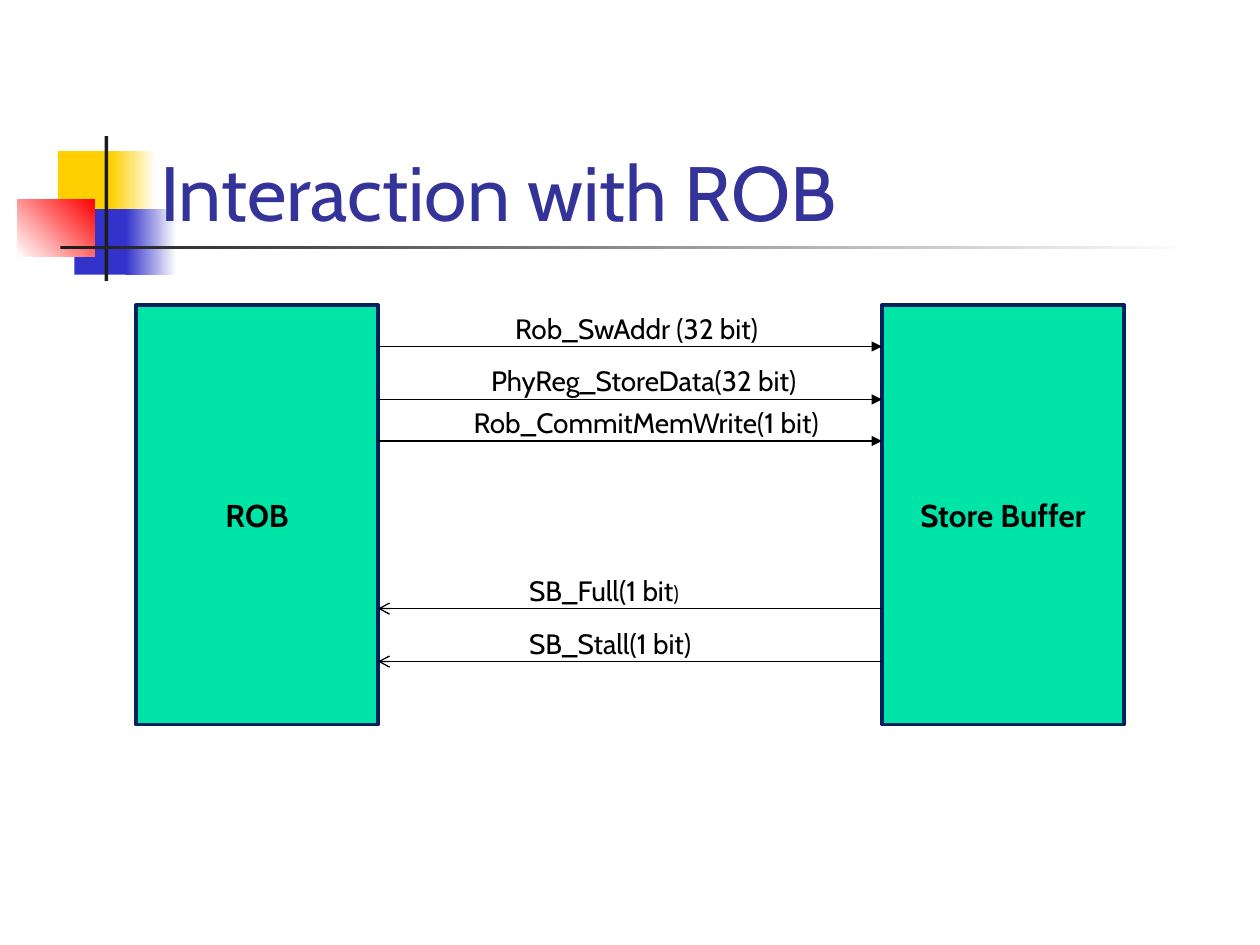
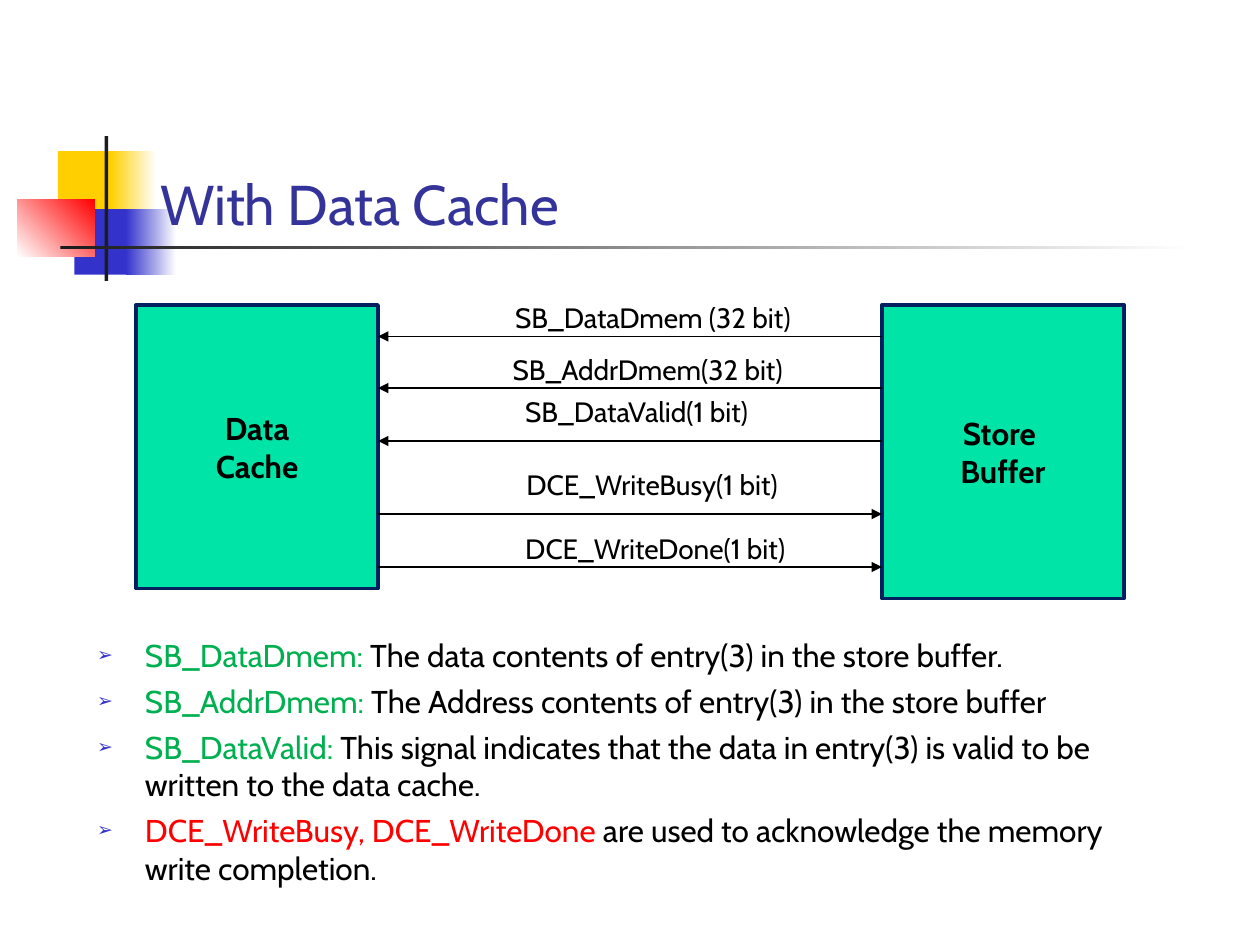
from pptx import Presentation
from pptx.dml.color import RGBColor as RGB
from pptx.enum.shapes import MSO_CONNECTOR as LINE, MSO_SHAPE as SHAPE
from pptx.enum.text import MSO_ANCHOR as ANCHOR, MSO_AUTO_SIZE as FIT, PP_ALIGN as ALIGN
from pptx.oxml.ns import qn
from pptx.util import Inches, Pt
from lxml.etree import SubElement

FONT = "Cabin"
BLACK, WHITE = RGB(0, 0, 0), RGB(255, 255, 255)
GOLD, BLUE, RED = RGB(0xFF, 0xCF, 0x01), RGB(0x33, 0x33, 0xCC), RGB(255, 0, 0)
INK, NAVY, TITLE = RGB(0x1C, 0x1C, 0x1C), RGB(0, 0x20, 0x60), RGB(0x33, 0x33, 0x99)
MINT, GREEN = RGB(0, 0xE4, 0xA8), RGB(0, 0xB0, 0x50)

DECOR = [
    ((0.46, 1.2, 0.48, 0.52), [GOLD], 0),
    ((0.88, 1.2, 0.36, 0.52), [GOLD, WHITE], 0),
    ((0.59, 1.66, 0.46, 0.52), [BLUE], 0),
    ((1, 1.66, 0.4, 0.52), [BLUE, WHITE], 0),
    ((0.14, 1.58, 0.61, 0.46), [WHITE, RED], 45),
    ((0.83, 1.08, 0.03, 1.15), [INK], 0),
    ((0.48, 1.95, 9, 0.03), [INK, WHITE], 0),
]
LEFT, RIGHT, TOP, WIDE = 1.08, 7, 2.42, 1.92
EDGE = LEFT + WIDE

ROB = [
    ("Rob_SwAddr (32 bit)", "", 3.99, 2.28, 2.75, 0.33, True, "triangle"),
    ("PhyReg_StoreData(32 bit)", "", 3.8, 2.84, 3.17, 0.33, True, "triangle"),
    ("Rob_CommitMemWrite(1 bit)", "", 3.66, 3.21, 3.5, 0.33, True, "triangle"),
    ("SB_Full(1 bit", ")", 4.1, 1.55, 4.83, 0.33, False, "arrow"),
    ("SB_Stall(1 bit)", "", 4.1, 1.65, 5.25, 0.33, False, "arrow"),
]
CACHE = [
    ("SB_DataDmem (32 bit)", "", 3.99, 2.53, 2.67, 0.33, False, "triangle"),
    ("SB_AddrDmem(32 bit)", "", 3.97, 2.49, 3.08, 0.33, False, "triangle"),
    ("SB_DataValid(1 bit)", "", 4.07, 2.15, 3.5, 0.42, False, "triangle"),
    ("DCE_WriteBusy(1 bit)", "", 4.08, 2.43, 4.08, 0.42, True, "triangle"),
    ("DCE_WriteDone(1 bit)", "", 4.07, 2.49, 4.5, 0.33, True, "triangle"),
]
NOTES = [
    ("SB_DataDmem: ", GREEN, "The data contents of entry(3) in the store buffer."),
    ("SB_AddrDmem: ", GREEN, "The Address contents of entry(3) in the store buffer"),
    ("SB_DataValid: ", GREEN,
     "This signal indicates that the data in entry(3) is valid to be written to the data cache."),
    ("DCE_WriteBusy, DCE_WriteDone ", RED,
     "are used to acknowledge the memory write completion."),
]


def style(para, size, color, bold=False, align=ALIGN.LEFT):
    """Set the font and alignment of a paragraph."""
    font = para.font
    font.name, font.size, font.bold = FONT, Pt(size), bold
    font.color.rgb = color
    para.alignment = align


def place(shape, box):
    """Move a shape to a box given in inches."""
    shape.left, shape.top, shape.width, shape.height = map(Inches, box)


def rect(slide, box):
    """Add a rectangle without shadow."""
    shape = slide.shapes.add_shape(SHAPE.RECTANGLE, *map(Inches, box))
    shape.shadow.inherit = False
    return shape


def start(deck, layout, text, size):
    """Add a slide with its decoration and title."""
    slide = deck.slides.add_slide(deck.slide_layouts[layout])
    title = slide.shapes.title
    for box, colors, angle in DECOR:
        shape = rect(slide, box)
        shape.line.fill.background()
        if len(colors) == 1:
            shape.fill.solid()
            shape.fill.fore_color.rgb = colors[0]
        else:
            shape.fill.gradient()
            shape.fill.gradient_angle = angle
            for stop, color in zip(shape.fill.gradient_stops, colors):
                stop.color.rgb = color
        title.element.addprevious(shape.element)
    place(title, (1.17, 0.33, 8.52, 1.6))
    frame = title.text_frame
    frame.text = text
    frame.auto_size, frame.vertical_anchor = FIT.NONE, ANCHOR.BOTTOM
    style(frame.paragraphs[0], size, TITLE)
    return slide


def block(slide, left, high, text):
    """Add a named hardware block."""
    shape = rect(slide, (left, TOP, WIDE, high))
    shape.fill.solid()
    shape.fill.fore_color.rgb = MINT
    shape.line.color.rgb = NAVY
    shape.line.width = Pt(2)
    frame = shape.text_frame
    frame.text = text
    frame.vertical_anchor = ANCHOR.MIDDLE
    for para in frame.paragraphs:
        style(para, 18, BLACK, True, ALIGN.CENTER)


def signal(slide, text, tail, left, wide, y, rise, right, head):
    """Add an arrow between the blocks with its label above."""
    ends = (EDGE, RIGHT) if right else (RIGHT, EDGE)
    line = slide.shapes.add_connector(
        LINE.STRAIGHT, Inches(ends[0]), Inches(y), Inches(ends[1]), Inches(y))
    line.line.color.rgb = BLACK
    line.line.width = Pt(0.75)
    SubElement(line.line._get_or_add_ln(), qn("a:tailEnd"), type=head)
    SubElement(line.element.spPr, qn("a:effectLst"))
    label = slide.shapes.add_textbox(*map(Inches, (left, y - rise, wide, 0.37)))
    frame = label.text_frame
    frame.word_wrap, frame.auto_size = False, FIT.SHAPE_TO_FIT_TEXT
    para = frame.paragraphs[0]
    para.add_run().text = text
    style(para, 16, BLACK)
    if tail:
        run = para.add_run()
        run.text, run.font.size = tail, Pt(12)


def notes(slide, box):
    """Fill the body with the bulleted signal notes."""
    body = slide.placeholders[1]
    place(body, box)
    frame = body.text_frame
    frame.auto_size = FIT.NONE
    for i, (name, color, text) in enumerate(NOTES):
        para = frame.add_paragraph() if i else frame.paragraphs[0]
        style(para, 18, BLACK)
        para.space_before = Pt(4.5)
        run = para.add_run()
        run.text, run.font.color.rgb = name, color
        para.add_run().text = text
        props = para._p.get_or_add_pPr()
        props.set("marL", str(Inches(0.38)))
        props.set("indent", str(-Inches(0.38)))
        tint = SubElement(props, qn("a:buClr"))
        SubElement(tint, qn("a:srgbClr"), val=str(BLUE))
        SubElement(props, qn("a:buSzPct"), val="60000")
        SubElement(props, qn("a:buChar"), char="➢")
        props.append(props.find(qn("a:defRPr")))


def diagram(slide, first, second, signals):
    """Draw two blocks and the signals between them."""
    block(slide, LEFT, *first)
    block(slide, RIGHT, *second)
    for row in signals:
        signal(slide, *row)


def main():
    """Build and save the deck."""
    deck = Presentation()
    deck.slide_width, deck.slide_height = Inches(10), Inches(7.5)
    slide = start(deck, 5, "Interaction with ROB", 44)
    diagram(slide, (3.33, "ROB"), (3.33, "Store Buffer"), ROB)
    slide = start(deck, 1, "With Data Cache", 32)
    diagram(slide, (2.25, "Data\nCache"), (2.33, "Store \nBuffer"), CACHE)
    notes(slide, (0.67, 5, 8.58, 1.92))
    deck.save("out.pptx")


if __name__ == "__main__":
    main()
